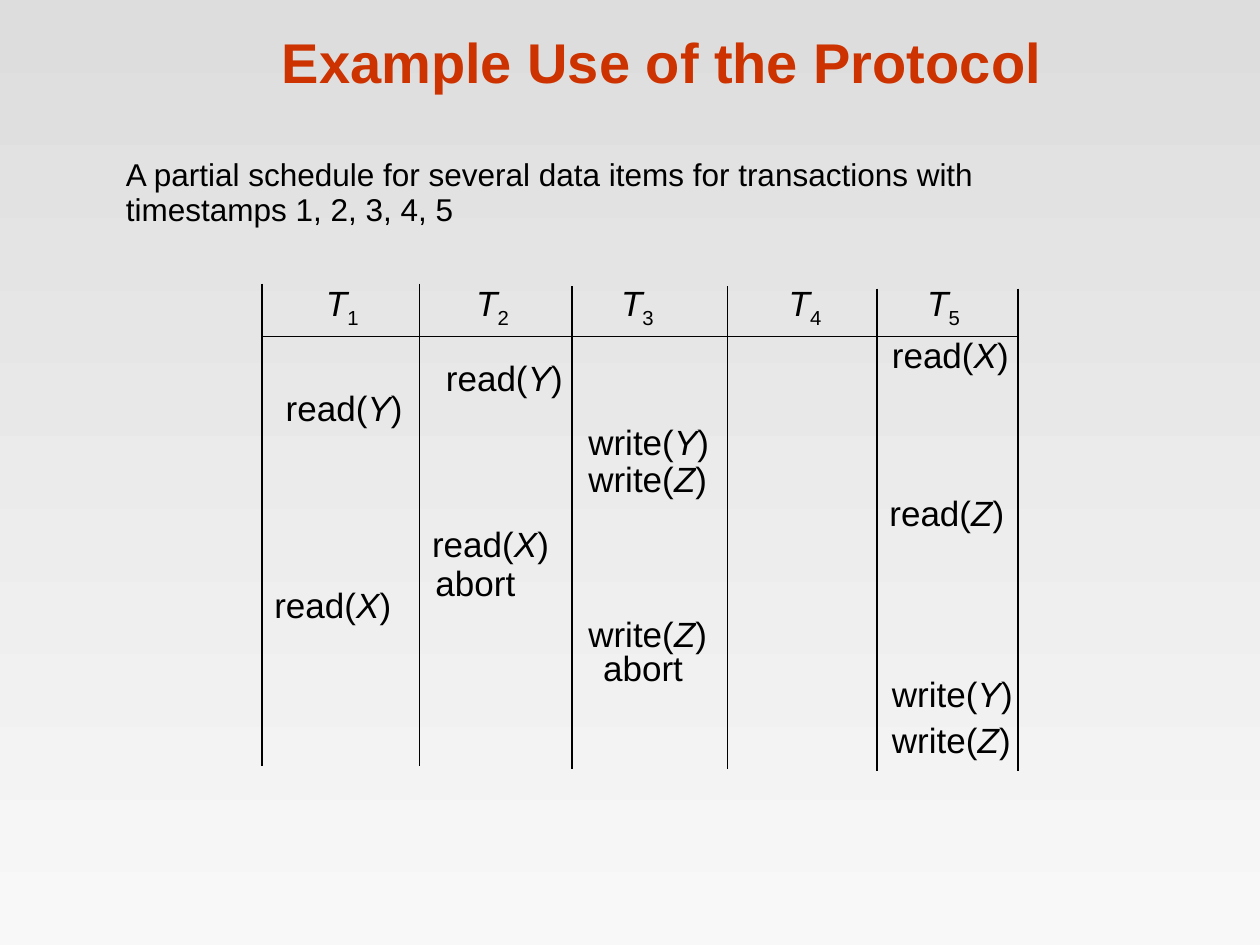
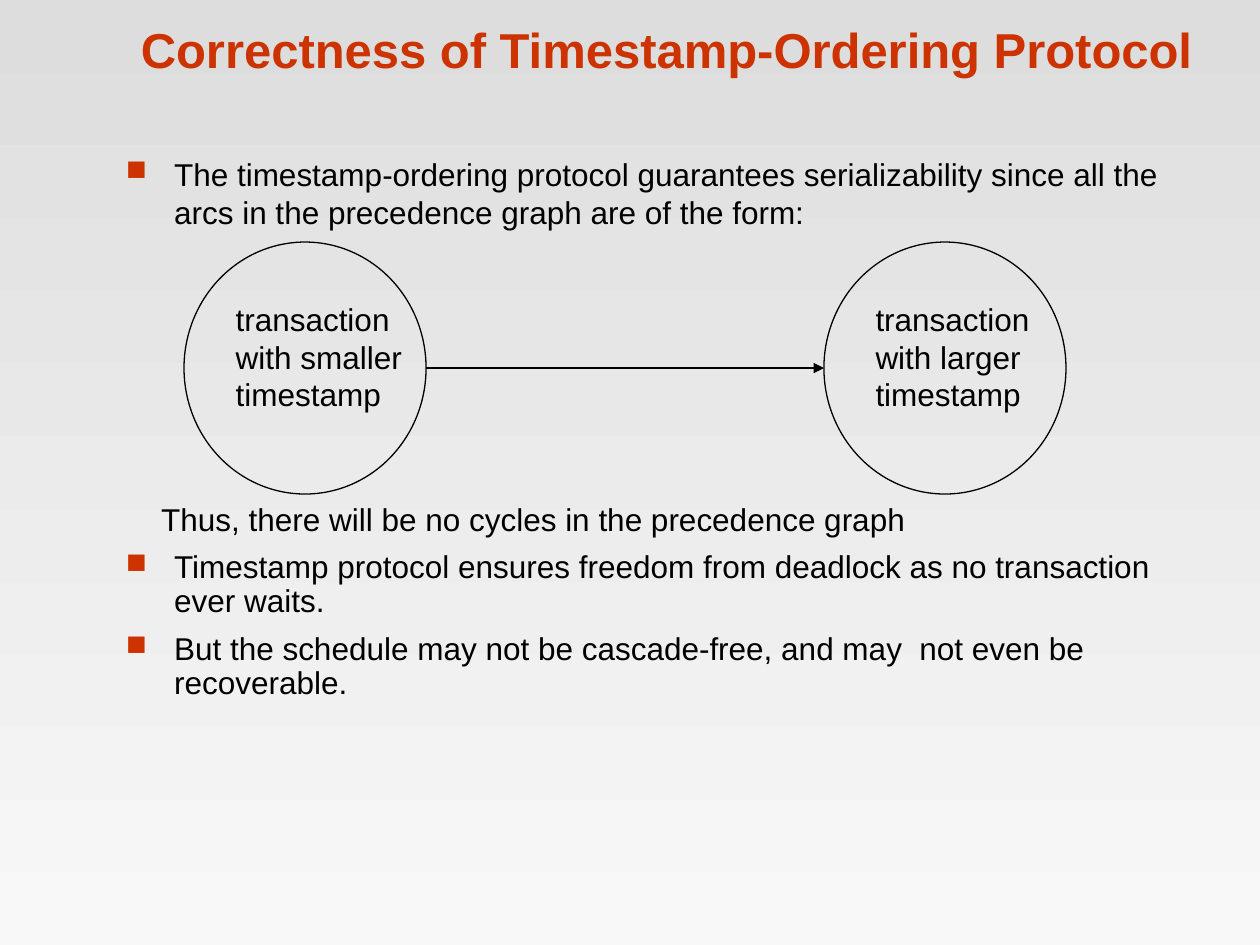
from dataclasses import dataclass
from lxml.etree import SubElement as Sub, fromstring as parse_xml
from pptx import Presentation
from pptx.dml.color import RGBColor as Rgb
from pptx.enum.shapes import MSO_CONNECTOR as Wire, MSO_SHAPE as Form
from pptx.enum.text import MSO_ANCHOR as Anchor, MSO_AUTO_SIZE as Fit, PP_ALIGN as Align
from pptx.oxml.ns import qn
from pptx.util import Cm, Pt


@dataclass(frozen=True)
class Theme:
    font: str = "Arial"
    ink: Rgb = Rgb(0x00, 0x00, 0x00)
    red: Rgb = Rgb(0xCC, 0x33, 0x00)
    top: Rgb = Rgb(0xDD, 0xDD, 0xDD)
    base: Rgb = Rgb(0xF8, 0xF8, 0xF8)
    body: Pt = Pt(18)
    cell: Pt = Pt(20)
    rule: Pt = Pt(0.75)
    gap: Pt = Pt(7.9)


look = Theme()


def note(slide, spot, text, size, wrap=False):
    frame = slide.shapes.add_textbox(*map(Cm, spot)).text_frame
    frame.word_wrap = wrap
    frame.auto_size = Fit.NONE if wrap else Fit.SHAPE_TO_FIT_TEXT
    for i, line in enumerate(text.split("\n")):
        par = frame.add_paragraph() if i else frame.paragraphs[0]
        par.font.name, par.font.size = look.font, size
        par.font.color.rgb = look.ink
        for j, part in enumerate(line.split("*")):
            if part:
                run = par.add_run()
                run.text = part
                if j % 2:
                    run.font.italic = True
    return frame.paragraphs


def link(slide, *ends):
    wire = slide.shapes.add_connector(Wire.STRAIGHT, *map(Cm, ends))
    wire.line.color.rgb, wire.line.width = look.ink, look.rule
    Sub(wire._element.spPr, qn("a:effectLst"))
    return wire


deck = Presentation()
deck.slide_width, deck.slide_height = Cm(25.4), Cm(19.05)

fill = deck.slide_master.background.fill
fill.gradient()
fill.gradient_angle = 270
for stop, tone in zip(fill.gradient_stops, (look.top, look.base)):
    stop.color.rgb = tone

pages = []
for text, size, spot in (
    ("Example Use of the Protocol", Pt(32), (2.13, 0.33, 22.43, 1.7)),
    ("Correctness of Timestamp-Ordering Protocol", Pt(28), (1.47, 0, 23.93, 1.7)),
):
    page = deck.slides.add_slide(deck.slide_layouts[5])
    head = page.shapes.title
    head.left, head.top, head.width, head.height = map(Cm, spot)
    frame = head.text_frame
    frame.text = text
    frame.auto_size, frame.vertical_anchor = Fit.NONE, Anchor.BOTTOM
    par = frame.paragraphs[0]
    par.alignment = Align.CENTER
    par.font.name, par.font.size, par.font.bold = look.font, size, True
    par.font.color.rgb = look.red
    pages.append(page)
plan, proof = pages

intro = note(
    plan, (2.29, 3, 22.76, 13.54),
    "A partial schedule for several data items for transactions with\n"
    "timestamps 1, 2, 3, 4, 5",
    look.body, True,
)
for par in intro:
    par.space_before = look.gap
intro[1].line_spacing = 0.5

walls = (5.28, 8.46, 11.53, 14.66, 17.68, 20.52)
for i, x in enumerate(walls):
    y = 5.72 + i // 2 * 0.05
    link(plan, x, y, x, y + 9.73)
link(plan, walls[0], 6.78, walls[-1], 6.78)

for i, x in enumerate((6.32, 9.35, 12.27, 15.65, 18.44), 1):
    par = note(plan, (x, 5.55, 1.17, 1.22), f"*T*{i}", look.cell)[0]
    par.runs[1]._r.get_or_add_rPr().set("baseline", "-25000")

wide = {
    "read(*X*)": 3.05, "read(*Y*)": 2.87, "read(*Z*)": 3.02,
    "write(*Y*)": 3.12, "write(*Z*)": 3.1, "abort": 2.51,
}
for step, x, y in (
    ("read(*X*)", 17.73, 6.6),
    ("read(*Y*)", 8.74, 7.06),
    ("read(*Y*)", 5.51, 7.67),
    ("write(*Y*)", 11.61, 8.36),
    ("write(*Z*)", 11.61, 9.09),
    ("read(*Z*)", 17.68, 9.78),
    ("read(*X*)", 8.46, 10.41),
    ("abort", 8.53, 11.2),
    ("read(*X*)", 5.28, 11.63),
    ("write(*Z*)", 11.61, 12.22),
    ("abort", 11.91, 12.9),
    ("write(*Y*)", 17.73, 13.44),
    ("write(*Z*)", 17.73, 14.35),
):
    note(plan, (x, y, wide[step], 1.12), step, look.cell)

points = note(
    proof, (2.29, 3, 21.92, 14.68),
    "The timestamp-ordering protocol guarantees serializability since all the "
    "arcs in the precedence graph are of the form:\n"
    "Thus, there will be no cycles in the precedence graph\n"
    "Timestamp protocol ensures freedom from deadlock as no transaction ever waits.\n"
    "But the schedule may not be cascade-free, and may  not even be recoverable.",
    look.body, True,
)
space = "http://schemas.openxmlformats.org/drawingml/2006/main"
marks = (
    f'<a:buClr xmlns:a="{space}"><a:srgbClr val="{look.red}"/></a:buClr>',
    f'<a:buSzPct xmlns:a="{space}" val="90000"/>',
    f'<a:buChar xmlns:a="{space}" char="■"/>',
)
for i, par in enumerate(points):
    par.space_before = Pt(154) if i == 1 else look.gap
    if i > 1:
        par.line_spacing = 0.9
    props = par._p.get_or_add_pPr()
    if i == 1:
        props.set("marL", str(Cm(0.71)))
        continue
    props.set("marL", str(Cm(0.97)))
    props.set("indent", str(Cm(-0.97)))
    last = props[-1]
    for mark in marks:
        last.addprevious(parse_xml(mark))

for x, rank, width in ((3.71, "smaller", 3.86), (16.61, "larger", 3.61)):
    ring = proof.shapes.add_shape(Form.OVAL, Cm(x), Cm(4.88), Cm(4.88), Cm(5.08))
    ring.shadow.inherit = False
    ring.fill.background()
    ring.line.color.rgb, ring.line.width = look.ink, look.rule
    note(proof, (x + 0.79, 5.92, width, 2.54),
         f"transaction\nwith {rank}\ntimestamp", look.body)

arc = link(proof, 8.59, 7.42, 16.61, 7.42)
Sub(arc.line._get_or_add_ln(), qn("a:tailEnd"), type="triangle")

deck.save("out.pptx")
